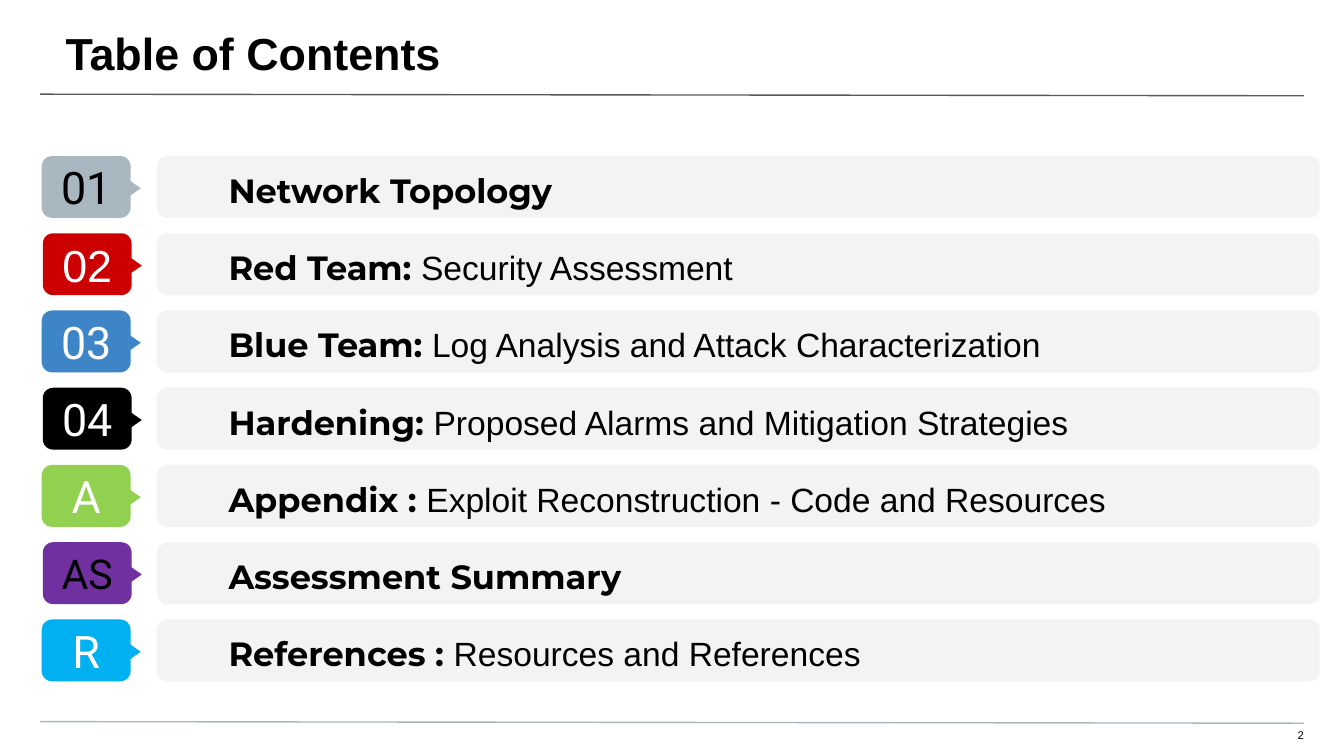
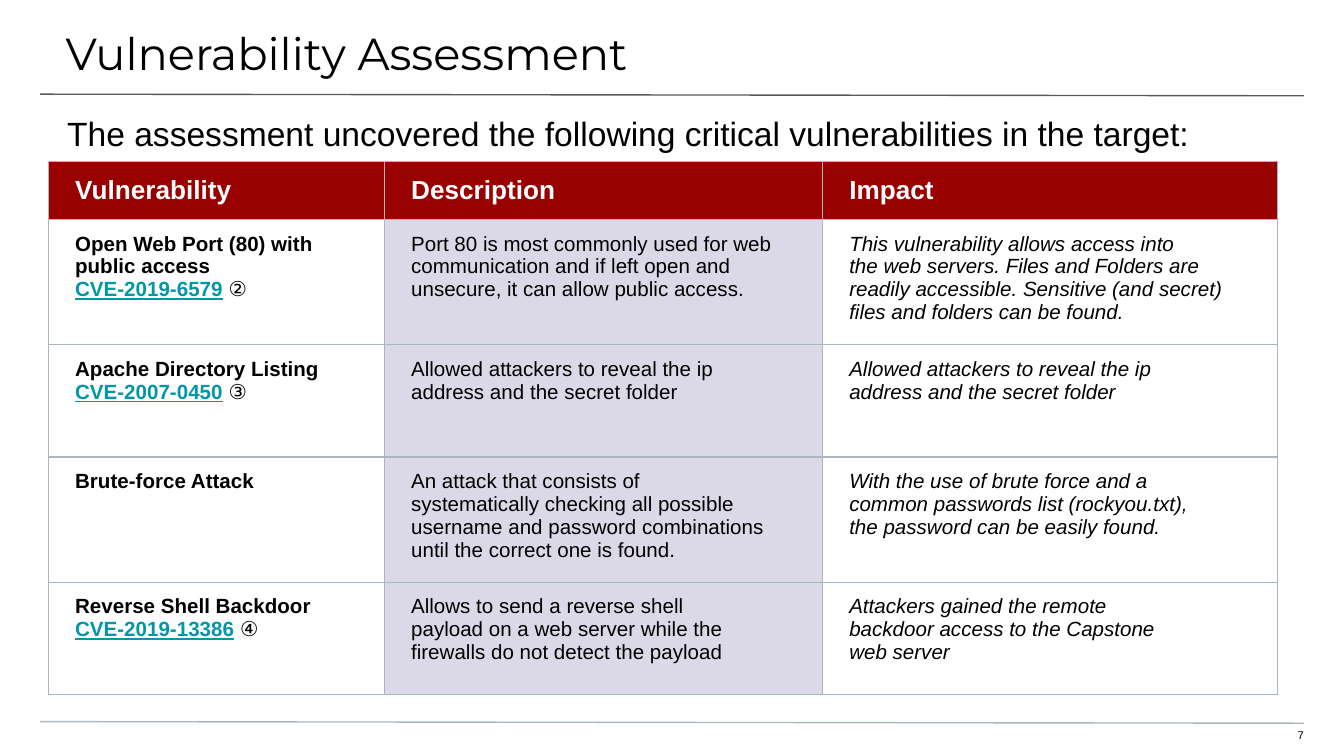
from dataclasses import dataclass

from lxml import etree
from pptx import Presentation
from pptx import util as u
from pptx.dml import color
from pptx.enum import shapes, text
from pptx.oxml import ns


@dataclass(frozen=True)
class Theme:
    ink: str = "000000"
    white: str = "FFFFFF"
    title_rule: str = "595959"
    grid: str = "A9B7C0"
    bar: str = "F3F3F3"
    header: str = "990000"
    highlight: str = "DBD9E8"
    link: str = "0097A7"
    body_font: str = "Arial"
    accent_font: str = "Montserrat"
    tag_font: str = "Roboto"
    title_size: float = 24
    tag_size: float = 24
    lead_size: float = 18
    header_size: float = 14
    cell_size: float = 11
    number_size: float = 6
    rule_width: float = 0.75


THEME = Theme()
SLIDE_WIDTH, SLIDE_HEIGHT = 25.4, 14.29


def rgb(value):
    return color.RGBColor.from_string(value)


def write(frame, paragraphs, align=text.PP_ALIGN.LEFT, spacing=None, **base):
    """Fill a frame; each paragraph is a string or a list of (text, format) runs."""
    for index, runs in enumerate(paragraphs):
        paragraph = frame.paragraphs[0] if index == 0 else frame.add_paragraph()
        paragraph.alignment = align
        if spacing:
            paragraph.line_spacing = spacing
        for words, changes in [(runs, {})] if isinstance(runs, str) else runs:
            style = {"font": THEME.body_font, "ink": THEME.ink, **base, **changes}
            run = paragraph.add_run()
            run.text = words
            run.font.name = style["font"]
            run.font.size = u.Pt(style["size"])
            run.font.color.rgb = rgb(style["ink"])
            run.font.bold = style.get("bold", False)
            run.font.italic = style.get("italic", False)
            run.font.underline = style.get("underline", False)


def set_frame(frame, insets, anchor=text.MSO_ANCHOR.TOP):
    frame.word_wrap = True
    frame.vertical_anchor = anchor
    (frame.margin_left, frame.margin_top,
     frame.margin_right, frame.margin_bottom) = map(u.Cm, insets)


class Deck:
    def __init__(self, theme):
        self.theme = theme
        self.show = Presentation()
        self.show.slide_width = u.Cm(SLIDE_WIDTH)
        self.show.slide_height = u.Cm(SLIDE_HEIGHT)
        self.slide = None

    def new_slide(self, title, number, **title_format):
        """Start a slide with its rules, title and page number."""
        self.slide = self.show.slides.add_slide(self.show.slide_layouts[6])
        self.rule(1.78, self.theme.title_rule)
        self.rule(13.64, self.theme.grid)
        self.label((-0.03, 0, 25.48, 1.47), [title], (1.27, 0.49, 0.76, 0.25),
                   size=self.theme.title_size, **title_format)
        self.label((23.9, 13.77, 0.74, 0.3), [str(number)], (0, 0, 0, 0.25),
                   align=text.PP_ALIGN.RIGHT, size=self.theme.number_size)

    def rule(self, top, ink):
        line = self.slide.shapes.add_connector(
            shapes.MSO_CONNECTOR.STRAIGHT,
            u.Cm(0.76), u.Cm(top), u.Cm(24.64), u.Cm(top + 0.03))
        line.line.color.rgb = rgb(ink)
        line.line.width = u.Pt(self.theme.rule_width)
        etree.SubElement(line.element.spPr, ns.qn("a:effectLst"))

    def label(self, box, paragraphs, insets, anchor=text.MSO_ANCHOR.TOP, **style):
        frame = self.slide.shapes.add_textbox(*map(u.Cm, box)).text_frame
        set_frame(frame, insets, anchor)
        write(frame, paragraphs, **style)

    def block(self, kind, box, fill, parent=None):
        shape = (parent or self.slide).shapes.add_shape(kind, *map(u.Cm, box))
        shape.shadow.inherit = False
        shape.fill.solid()
        shape.fill.fore_color.rgb = rgb(fill)
        shape.line.fill.background()
        return shape

    def tag(self, left, top, height, mark, fill, **style):
        """A rounded tile with a pointer on its right."""
        group = self.slide.shapes.add_group_shape()
        tile = self.block(shapes.MSO_SHAPE.ROUNDED_RECTANGLE,
                          (left, top, 1.68, height), fill, group)
        set_frame(tile.text_frame, [0.25] * 4, text.MSO_ANCHOR.MIDDLE)
        write(tile.text_frame, [mark], align=text.PP_ALIGN.CENTER,
              **{"size": self.theme.tag_size, "font": self.theme.tag_font, **style})
        pointer = self.block(shapes.MSO_SHAPE.FLOWCHART_EXTRACT,
                             (left + 1.32, top + 0.38, 0.64, 0.46), fill, group)
        pointer.rotation = 90

    def border(self, cell):
        properties = cell._tc.get_or_add_tcPr()
        for index, side in enumerate(("lnL", "lnR", "lnT", "lnB")):
            line = etree.Element(ns.qn(f"a:{side}"),
                                 w=str(u.Pt(self.theme.rule_width)))
            fill = etree.SubElement(line, ns.qn("a:solidFill"))
            etree.SubElement(fill, ns.qn("a:srgbClr"), val=self.theme.grid)
            properties.insert(index, line)

    def table(self, left, top, widths, heights, rows, column_styles, column_fills):
        grid = self.slide.shapes.add_table(
            len(rows), len(widths), u.Cm(left), u.Cm(top),
            u.Cm(sum(widths)), u.Cm(sum(heights))).table
        grid.first_row = grid.horz_banding = False
        for column, width in zip(grid.columns, widths):
            column.width = u.Cm(width)
        for row, height in zip(grid.rows, heights):
            row.height = u.Cm(height)
        header = {"size": self.theme.header_size, "ink": self.theme.white, "bold": True}
        for r, row in enumerate(rows):
            for c, paragraphs in enumerate(row):
                cell = grid.cell(r, c)
                fill = column_fills[c] if r else self.theme.header
                if fill:
                    cell.fill.solid()
                    cell.fill.fore_color.rgb = rgb(fill)
                else:
                    cell.fill.background()
                self.border(cell)
                cell.margin_left = cell.margin_right = u.Cm(0.51)
                cell.margin_top = cell.margin_bottom = u.Cm(0.25)
                cell.vertical_anchor = (text.MSO_ANCHOR.TOP if r
                                        else text.MSO_ANCHOR.MIDDLE)
                style = {"size": self.theme.cell_size, **column_styles[c]} if r else header
                write(cell.text_frame, paragraphs, **style)


def contents_slide(deck):
    theme = deck.theme
    deck.new_slide("Table of Contents", 2, bold=True)
    light = {"ink": theme.white}
    # Mark, tag colour, tag text format, section name, section detail
    sections = [
        ("01", "A9B7C0", {}, "Network Topology", ""),
        ("02", "CC0000", {**light, "font": theme.body_font},
         "Red Team: ", "Security Assessment"),
        ("03", "3D85C6", light,
         "Blue Team: ", "Log Analysis and Attack Characterization"),
        ("04", "000000", light,
         "Hardening: ", "Proposed Alarms and Mitigation Strategies"),
        ("A", "92D050", light,
         "Appendix : ", "Exploit Reconstruction - Code and Resources"),
        ("AS", "7030A0", {"size": 22}, "Assessment Summary", ""),
        ("R", "00B0F0", light, "References : ", "Resources and References"),
    ]
    first_top, pitch, height = 2.95, 1.46, 1.17
    for index, (mark, fill, style, name, detail) in enumerate(sections):
        top = first_top + index * pitch
        deck.tag(0.79 + 0.02 * (index % 2), top, height, mark, fill, **style)
        deck.block(shapes.MSO_SHAPE.ROUNDED_RECTANGLE,
                   (2.97, top, 21.97, height), theme.bar)
        entry = [(name, {"font": theme.accent_font, "bold": True})]
        if detail:
            entry.append((detail, {}))
        deck.label((0, top, SLIDE_WIDTH, height), [entry], (4.32, 0, 1.27, 0),
                   text.MSO_ANCHOR.MIDDLE, size=theme.lead_size, spacing=1.15)


def vulnerability_slide(deck):
    theme = deck.theme
    deck.new_slide("Vulnerability Assessment", 7, font=theme.accent_font)
    deck.label((0, 1.88, SLIDE_WIDTH, 1.02),
               ["The assessment uncovered the following critical "
                "vulnerabilities in the target:"],
               (1.27, 0.25, 1.27, 0), size=theme.lead_size)

    def cve(code, note):
        return [(code, {"ink": theme.link, "underline": True}),
                (" ", {}), (note, {"bold": False})]

    secret_folder = ["Allowed attackers to reveal the ip",
                     "address and the secret folder"]
    rows = [
        (["Vulnerability"], ["Description"], ["Impact"]),
        (["Open Web Port (80) with public access", cve("CVE-2019-6579", "②")],
         ["Port 80 is most commonly used for web communication and if left "
          "open and unsecure, it can allow public access."],
         ["This vulnerability allows access into",
          "the web servers. Files and Folders are readily accessible. "
          "Sensitive (and secret) files and folders can be found."]),
        (["Apache Directory Listing", cve("CVE-2007-0450", "③")],
         secret_folder, secret_folder),
        (["Brute-force Attack"],
         ["An attack that consists of",
          "systematically checking all possible",
          "username and password combinations",
          "until the correct one is found."],
         ["With the use of brute force and a",
          "common passwords list (rockyou.txt),",
          "the password can be easily found."]),
        (["Reverse Shell Backdoor", cve("CVE-2019-13386", "④")],
         ["Allows to send a reverse shell",
          "payload on a web server while the",
          "firewalls do not detect the payload"],
         ["Attackers gained the remote",
          "backdoor access to the Capstone",
          "web server"]),
    ]
    deck.table(0.91, 3.05, (6.35, 8.28, 8.61), (1.09,) + (2.13,) * 4, rows,
               column_styles=({"bold": True}, {}, {"italic": True}),
               column_fills=(None, theme.highlight, None))


def main():
    deck = Deck(THEME)
    contents_slide(deck)
    vulnerability_slide(deck)
    deck.show.save("out.pptx")


if __name__ == "__main__":
    main()
